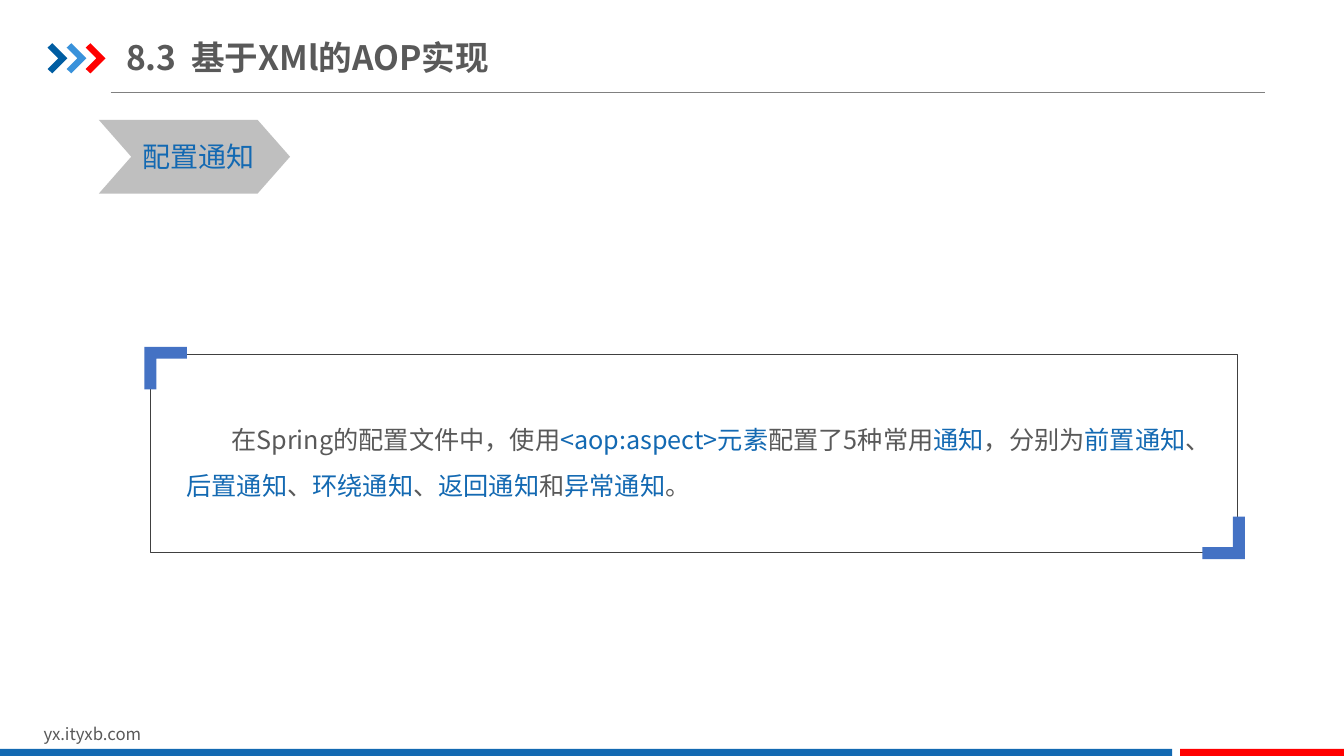
from lxml.etree import SubElement
from pptx import Presentation
from pptx.dml.color import RGBColor
from pptx.enum.shapes import MSO_CONNECTOR, MSO_SHAPE
from pptx.enum.text import MSO_ANCHOR, PP_ALIGN
from pptx.oxml.ns import qn
from pptx.util import Cm, Pt

COLORS = {
    "blue": "1369B2", "navy": "005DA2", "sky": "3992DB", "red": "FF0000",
    "corner": "4472C4", "text": "595959", "tag": "BFBFBF",
    "frame": "404040", "rule": "808080",
}
FONT = "Noto Sans CJK SC"


def write_text(shape, runs, size, bold=False, wrap=True, anchor=MSO_ANCHOR.TOP,
               margins=(0.25, 0.13), spacing=1.0, indent=0, gap=0):
    """Fill a shape with one paragraph of (text, color name) runs.

    A run that is a single space is widened by gap points.
    """
    frame = shape.text_frame
    frame.word_wrap = wrap
    frame.vertical_anchor = anchor
    frame.margin_left = frame.margin_right = Cm(margins[0])
    frame.margin_top = frame.margin_bottom = Cm(margins[1])
    paragraph = frame.paragraphs[0]
    paragraph.alignment = PP_ALIGN.LEFT
    paragraph.line_spacing = spacing
    paragraph.space_before = Pt(0)
    properties = paragraph._p.get_or_add_pPr()
    properties.set("marL", "0")
    properties.set("indent", str(Cm(indent)))
    for text, color in runs:
        run = paragraph.add_run()
        run.text = text
        run.font.size = Pt(size)
        run.font.bold = bold
        run.font.color.rgb = RGBColor.from_string(COLORS[color])
        run.font.name = FONT
        run_properties = run._r.get_or_add_rPr()
        SubElement(run_properties, qn("a:ea"), typeface=FONT)
        if text == " ":
            run_properties.set("spc", str(gap * 100))


def paint(shape, fill=None, line=None):
    """Give a shape a flat fill or a thin outline, without shadow."""
    shape.shadow.inherit = False
    if fill:
        shape.fill.solid()
        shape.fill.fore_color.rgb = RGBColor.from_string(COLORS[fill])
    else:
        shape.fill.background()
    if line:
        shape.line.color.rgb = RGBColor.from_string(COLORS[line])
        shape.line.width = Pt(0.25)
    else:
        shape.line.fill.background()


presentation = Presentation()
presentation.slide_width = Cm(33.87)
presentation.slide_height = Cm(19.05)
slide = presentation.slides.add_slide(presentation.slide_layouts[5])
shapes = slide.shapes

# Title and the rule under it
title = shapes.title
title.left, title.top, title.width, title.height = Cm(3.18), Cm(0.74), Cm(11.5), Cm(1.4)
write_text(title, [("8.3", "text"), (" ", "text"), ("基于XMl的AOP实现", "text")], 24,
           bold=True, anchor=MSO_ANCHOR.MIDDLE, margins=(0, 0.18), gap=5)
rule = shapes.add_connector(MSO_CONNECTOR.STRAIGHT, Cm(2.79), Cm(2.32), Cm(31.88), Cm(2.32))
rule.line.color.rgb = RGBColor.from_string(COLORS["rule"])
rule.line.width = Pt(0.5)
SubElement(rule._element.spPr, qn("a:effectLst"))

# Outlines: three arrows beside the title, two corners of the frame
arrow = [(0, 0.11), (0.12, 0), (0.5, 0.38), (0.12, 0.76), (0, 0.65), (0.27, 0.38)]
corner = [(0, 0), (1.07, 0), (1.07, 0.3), (0.3, 0.3), (0.3, 1.07), (0, 1.07)]
outlines = [(arrow, 1.2 + 0.48 * i, 1.09, 1, color)
            for i, color in enumerate(("navy", "sky", "red"))]
outlines += [(corner, 3.64, 8.74, 1, "corner"), (corner, 31.37, 14.09, -1, "corner")]

# Frame around the statement, under its corners
frame_box = shapes.add_shape(MSO_SHAPE.RECTANGLE, Cm(3.79), Cm(8.92), Cm(27.4), Cm(4.99))
paint(frame_box, line="frame")

for points, left, top, direction, color in outlines:
    places = [(Cm(left + direction * x), Cm(top + direction * y)) for x, y in points]
    builder = shapes.build_freeform(*places[0])
    builder.add_line_segments(places[1:], close=True)
    paint(builder.convert_to_shape(), fill=color)

# Footer
for left, width, color in ((0, 29.54, "blue"), (29.74, 4.13, "red")):
    bar = shapes.add_shape(MSO_SHAPE.RECTANGLE, Cm(left), Cm(18.87), Cm(width), Cm(0.22))
    paint(bar, fill=color)
address = shapes.add_textbox(Cm(0.85), Cm(18.12), Cm(8.08), Cm(0.77))
write_text(address, [("yx.ityxb.com", "text")], 12)

# Section tag
tag = shapes.add_shape(MSO_SHAPE.CHEVRON, Cm(2.49), Cm(3.02), Cm(4.82), Cm(1.86))
tag.adjustments[0] = 0.44
paint(tag, fill="tag")
tag_label = shapes.add_textbox(Cm(3.35), Cm(3.38), Cm(3.58), Cm(1.11))
write_text(tag_label, [("配置通知", "blue")], 20, wrap=False)

# Statement, with its key terms in blue
statement = shapes.add_textbox(Cm(4.45), Cm(10.19), Cm(26.16), Cm(2.69))
pieces = ["在Spring的配置文件中，使用", "<aop:aspect>元素", "配置了5种常用", "通知",
          "，分别为", "前置通知", "、", "后置通知", "、", "环绕通知", "、", "返回通知",
          "和", "异常通知", "。"]
write_text(statement, [(piece, ("text", "blue")[i % 2]) for i, piece in enumerate(pieces)],
           18, spacing=1.5, indent=1.13)

presentation.save("out.pptx")
